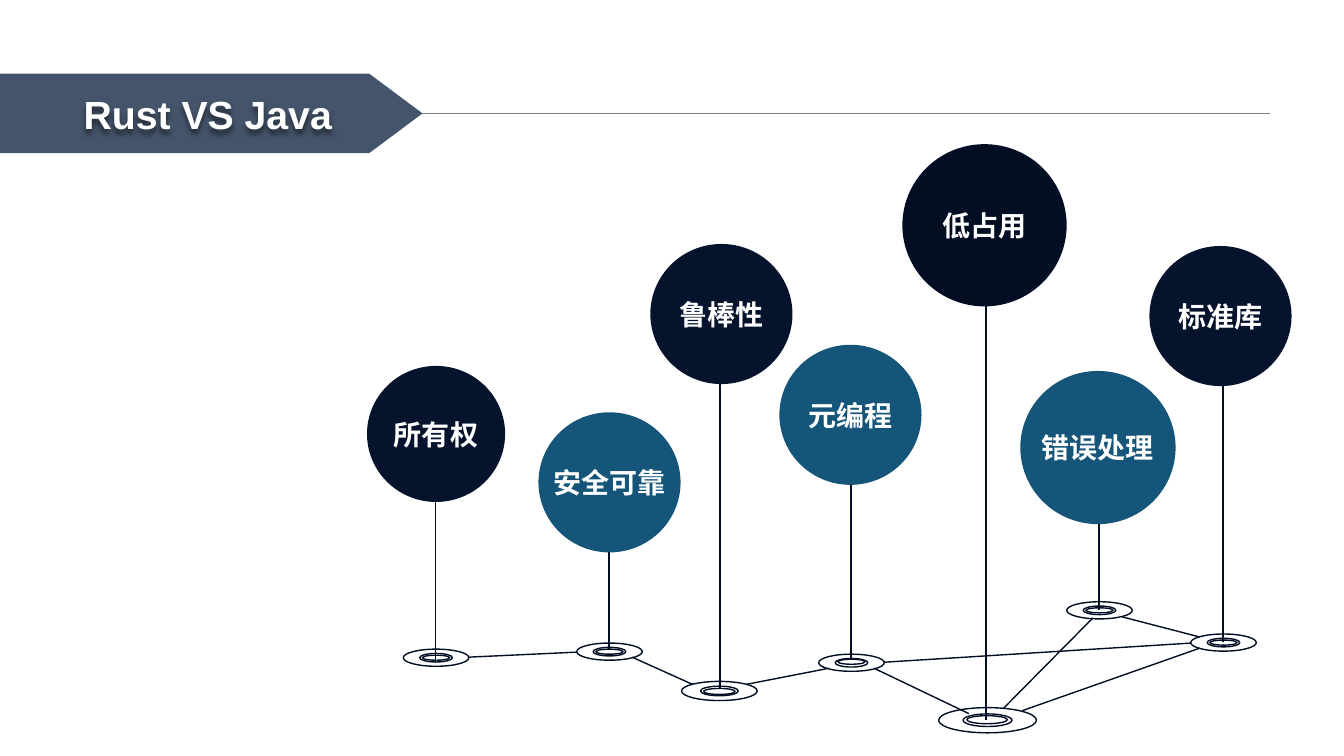
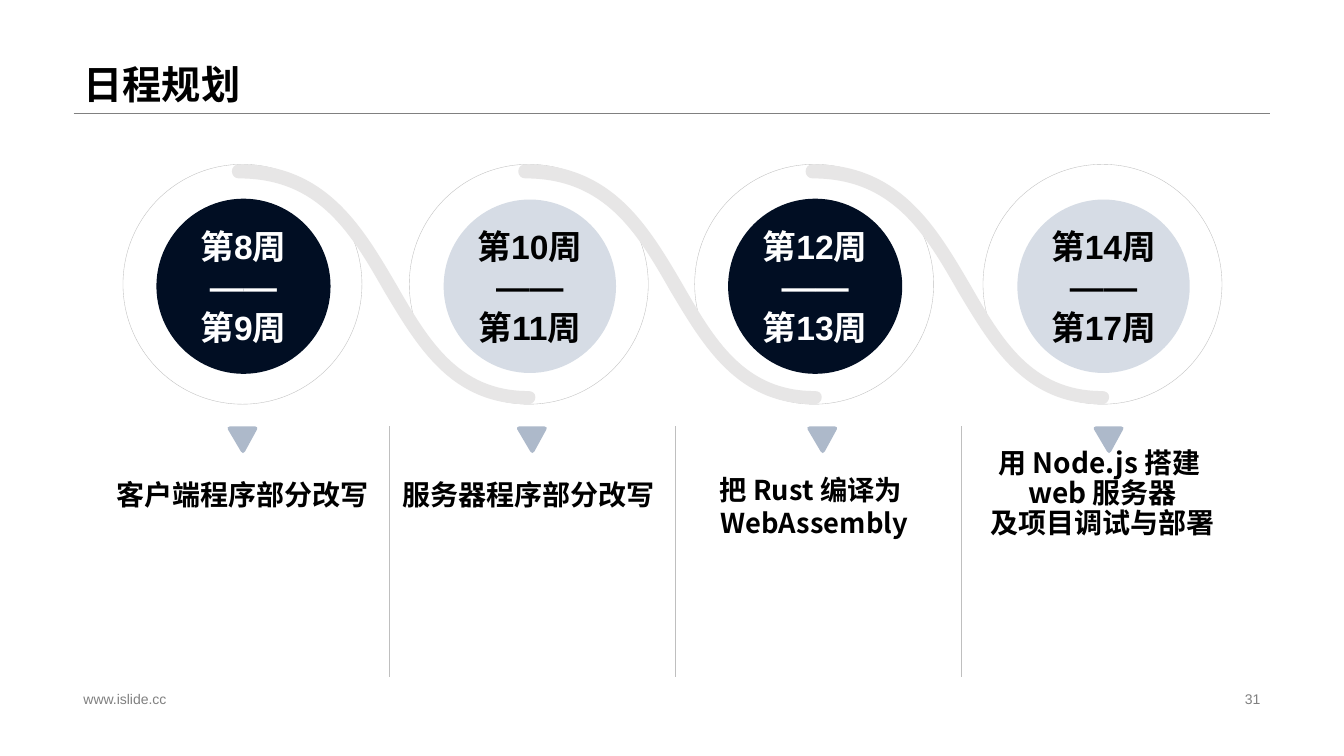
"""Build the Rust and Java comparison slide and the schedule slide."""
from dataclasses import dataclass
from typing import Any, NamedTuple, Optional, Sequence

from lxml.etree import SubElement
from pptx import Presentation
from pptx.dml.color import RGBColor
from pptx.enum.shapes import MSO_CONNECTOR, MSO_SHAPE
from pptx.enum.text import MSO_ANCHOR, MSO_AUTO_SIZE, PP_ALIGN
from pptx.oxml import parse_xml
from pptx.oxml.ns import nsdecls, qn
from pptx.util import Pt

PX = 9144
KAPPA = 0.55
Point = tuple[float, float]
Contour = tuple[tuple[Point, ...], ...]


@dataclass(frozen=True)
class Theme:
    latin: str = "Arial"
    cjk: str = "Noto Sans CJK SC"
    white: str = "FFFFFF"
    black: str = "000000"
    gray: str = "808080"
    banner: str = "44546A"
    ink: str = "010E23"
    navy: str = "05132C"
    teal: str = "145579"
    pale: str = "D6DCE5"
    pointer: str = "ADB9CA"
    swoosh: str = "E7E6E6"
    hairline: str = "BFBFBF"
    title_size: float = 28
    week_size: float = 24
    label_size: float = 20
    footer_size: float = 10


T = Theme()


class Box(NamedTuple):
    x: int
    y: int
    w: int
    h: int


class Stem(NamedTuple):
    x: int
    top: int
    bottom: int


@dataclass(frozen=True)
class Pin:
    label: str
    color: str
    circle: Box
    stem: Stem
    ring: Box
    core: Box


@dataclass(frozen=True)
class Phase:
    x: int
    pointer_x: int
    start: str
    end: str
    tasks: tuple[str, ...]
    dark: bool
    height: int = 76
    size: float = 20
    spacing: float = 24


@dataclass(frozen=True)
class TextStyle:
    size: float
    color: str
    align: Any = PP_ALIGN.CENTER
    anchor: Any = MSO_ANCHOR.MIDDLE
    bold: bool = True
    wrap: bool = False
    font: str = T.latin
    spacing: Any = None


PINS = (
    Pin("安全可靠", T.teal, Box(534, 409, 141, 139), Stem(604, 471, 644),
        Box(572, 638, 65, 17), Box(591, 644, 27, 5)),
    Pin("所有权", T.navy, Box(364, 363, 137, 135), Stem(432, 485, 658),
        Box(400, 644, 65, 17), Box(419, 650, 27, 5)),
    Pin("元编程", T.teal, Box(773, 342, 141, 139), Stem(844, 396, 653),
        Box(812, 649, 65, 17), Box(831, 654, 27, 5)),
    Pin("标准库", T.navy, Box(1140, 244, 141, 139), Stem(1213, 359, 637),
        Box(1181, 629, 65, 17), Box(1200, 635, 27, 5)),
    Pin("低占用", T.ink, Box(895, 143, 163, 161), Stem(978, 290, 714),
        Box(931, 702, 97, 25), Box(959, 710, 40, 8)),
    Pin("鲁棒性", T.navy, Box(645, 242, 141, 139), Stem(714, 264, 683),
        Box(676, 676, 75, 19), Box(698, 683, 31, 6)),
    Pin("错误处理", T.teal, Box(1012, 368, 154, 152), Stem(1090, 463, 605),
        Box(1058, 597, 65, 17), Box(1077, 603, 27, 5)),
)
LINKS = (
    (464, 652, 572, 647),
    (627, 652, 687, 679),
    (740, 679, 822, 663),
    (867, 663, 961, 708),
    (1014, 705, 1190, 643),
    (1190, 632, 1113, 612),
    (877, 657, 1181, 638),
    (995, 703, 1084, 613),
)
PHASES = (
    Phase(122, 225, "第8周", "第9周", ("客户端程序部分改写",), True, 48),
    Phase(406, 512, "第10周", "第11周", ("服务器程序部分改写",), False, 48),
    Phase(689, 800, "第12周", "第13周", ("把 Rust 编译为 ", "WebAssembly"),
          True, size=19.5, spacing=23.5),
    Phase(975, 1084, "第14周", "第17周",
          ("用 Node.js 搭建 ", "web 服务器", "及项目调试与部署"), False,
          spacing=21.5),
)
SWOOSH: Contour = (
    ((294, 238),),
    ((217, 238), (184, 181), (151, 126)),
    ((118, 68), (86, 14), (7, 14)),
    ((3, 14), (0, 11), (0, 7)),
    ((0, 3), (3, 0), (7, 0)),
    ((93, 0), (129, 61), (163, 119)),
    ((194, 173), (224, 225), (294, 225)),
    ((298, 225), (301, 227), (301, 231)),
    ((301, 235), (298, 238), (294, 238)),
)
POINTER: Contour = (
    ((3, 0),),
    ((28, 0),),
    ((30, 0), (31, 2), (30, 3)),
    ((18, 25),),
    ((17, 27), (15, 27), (14, 25)),
    ((1, 3),),
    ((0, 2), (1, 0), (3, 0)),
)


def emu(values: Sequence[float]) -> list[int]:
    """Convert px lengths to EMU."""
    return [round(v * PX) for v in values]


def apply(obj: Any, formats: dict[str, Any]) -> None:
    """Set each named attribute of an object."""
    for name, value in formats.items():
        setattr(obj, name, value)


def paint(sp: Any, fill: Optional[str], line: Optional[str] = None,
          width: float = 1) -> None:
    """Give a shape its fill and outline, without a shadow."""
    sp.shadow.inherit = False
    if fill:
        sp.fill.solid()
        sp.fill.fore_color.rgb = RGBColor.from_string(fill)
    else:
        sp.fill.background()
    if line:
        sp.line.color.rgb = RGBColor.from_string(line)
        sp.line.width = Pt(width)
    else:
        sp.line.fill.background()


def write(sp: Any, lines: Sequence[str], style: TextStyle) -> None:
    """Fill a shape with one styled paragraph per line."""
    tf = sp.text_frame
    apply(tf, {"auto_size": MSO_AUTO_SIZE.NONE, "word_wrap": style.wrap,
               "vertical_anchor": style.anchor})
    for i, text in enumerate(lines):
        p = tf.add_paragraph() if i else tf.paragraphs[0]
        apply(p, {"alignment": style.align, "space_before": Pt(0),
                  "line_spacing": style.spacing})
        r = p.add_run()
        r.text = text
        apply(r.font, {"size": Pt(style.size), "bold": style.bold,
                       "name": style.font})
        r.font.color.rgb = RGBColor.from_string(style.color)
        SubElement(r._r.get_or_add_rPr(), qn("a:ea")).set("typeface", T.cjk)


def cast_shadow(sp: Any) -> None:
    """Give an unfilled shape a soft shadow that its text casts."""
    sp._element.spPr.append(parse_xml(
        f'<a:effectLst {nsdecls("a")}><a:outerShdw blurRad="50800" '
        'dist="38100" dir="5400000" algn="t" rotWithShape="0">'
        '<a:srgbClr val="000000"><a:alpha val="50000"/></a:srgbClr>'
        '</a:outerShdw></a:effectLst>'))


def add_shape(s: Any, kind: Any, box: Sequence[float], fill: Optional[str],
              line: Optional[str] = None, width: float = 1) -> Any:
    """Add a painted preset shape."""
    sp = s.shapes.add_shape(kind, *emu(box))
    paint(sp, fill, line, width)
    return sp


def add_text(s: Any, box: Box, lines: Sequence[str], style: TextStyle) -> None:
    """Add a text box."""
    write(s.shapes.add_textbox(*emu(box)), lines, style)


def add_line(s: Any, ends: Sequence[float], color: str, width: float) -> None:
    """Add a straight line."""
    cn = s.shapes.add_connector(MSO_CONNECTOR.STRAIGHT, *emu(ends))
    cn.line.color.rgb = RGBColor.from_string(color)
    cn.line.width = Pt(width)
    SubElement(cn._element.spPr, qn("a:effectLst"))


def oval(box: Box, scale: float) -> Contour:
    """Return an ellipse centred in a box as four curves."""
    cx, cy = box.w / 2, box.h / 2
    rx, ry = cx * scale, cy * scale
    arcs = []
    for ux, uy in ((-1, 0), (0, -1), (1, 0), (0, 1)):
        vx, vy = -uy, ux
        arcs.append(tuple((cx + rx * x, cy + ry * y) for x, y in (
            (ux + KAPPA * vx, uy + KAPPA * vy),
            (vx + KAPPA * ux, vy + KAPPA * uy), (vx, vy))))
    return (((cx - rx, cy),), *arcs)


def add_outline(s: Any, x: int, y: int, contours: Sequence[Contour],
                fill: Optional[str], line: Optional[str] = None) -> None:
    """Add a freeform whose three-point segments are curves."""
    fb = None
    for (start,), *segments in contours:
        pen = emu((x + start[0], y + start[1]))
        fb = fb.move_to(*pen) if fb else s.shapes.build_freeform(*pen, scale=1.0)
        fb.add_line_segments([emu((x + px, y + py)) for segment in segments
                              for px, py in segment], close=True)
    sp = fb.convert_to_shape()
    paint(sp, fill, line)
    nodes = iter(list(sp._element.iter(qn("a:lnTo"))))
    for segment in (g for contour in contours for g in contour[1:]):
        group = [next(nodes) for _ in segment]
        if len(group) == 3:
            group[0].tag, curve = group[0].tag, group[0].makeelement(
                qn("a:cubicBezTo"))
            group[0].addprevious(curve)
            for node in group:
                curve.append(node[0])
                node.getparent().remove(node)


def new_slide(prs: Any, title: str, box: Box, color: str) -> Any:
    """Add a slide with the shared rule and title style."""
    s = prs.slides.add_slide(prs.slide_layouts[5])
    add_line(s, (73, 112, 1260, 112), T.gray, 0.25)
    sp = s.shapes.title
    apply(sp, dict(zip(("left", "top", "width", "height"), emu(box))))
    write(sp, [title], TextStyle(T.title_size, color, PP_ALIGN.LEFT,
                                 MSO_ANCHOR.BOTTOM, wrap=True, spacing=0.9))
    return s


def comparison_slide(prs: Any) -> None:
    """Build the slide of pinned language features."""
    s = new_slide(prs, "Rust VS Java", Box(73, 72, 318, 70), T.white)
    banner = add_shape(s, MSO_SHAPE.PENTAGON, (0, 73, 419, 79), T.banner)
    banner.adjustments[0] = 0.67
    for pin in PINS:
        add_outline(s, pin.ring.x, pin.ring.y,
                    (oval(pin.ring, 1), oval(pin.ring, 0.5)), None, T.ink)
        add_shape(s, MSO_SHAPE.OVAL, pin.core, None, T.ink)
    for link in LINKS:
        add_line(s, link, T.ink, 1)
    for pin in PINS:
        x, top, bottom = pin.stem
        add_line(s, (x, bottom, x, top), T.ink, 1)
        sp = add_shape(s, MSO_SHAPE.OVAL, pin.circle, pin.color)
        write(sp, [pin.label], TextStyle(T.label_size, T.white))
    title = s.shapes.title
    cast_shadow(title)
    title.element.getparent().append(title.element)


def schedule_slide(prs: Any) -> None:
    """Build the slide of four project phases."""
    s = new_slide(prs, "日程规划", Box(73, 0, 1187, 112), T.black)
    for box, text, align in (
            (Box(73, 682, 453, 23), "www.islide.cc", PP_ALIGN.LEFT),
            (Box(942, 682, 318, 23), "31", PP_ALIGN.RIGHT)):
        add_text(s, box, [text], TextStyle(T.footer_size, T.gray, align,
                                           bold=False, wrap=True))
    for phase in PHASES:
        x = phase.x
        add_outline(s, phase.pointer_x, 423, (POINTER,), T.pointer)
        add_shape(s, MSO_SHAPE.OVAL, (x, 163, 237, 238), None, T.hairline, 0.25)
        fill, line, color = ((T.ink, T.ink, T.white) if phase.dark
                             else (T.pale, None, T.black))
        sp = add_shape(s, MSO_SHAPE.OVAL, (x + 34, 198, 171, 172), fill,
                       line, 1.25)
        write(sp, [phase.start, "——", phase.end],
              TextStyle(T.week_size, color, spacing=Pt(29)))
        add_text(s, Box(x - 11, 464, 259, phase.height), phase.tasks,
                 TextStyle(phase.size, T.black, anchor=MSO_ANCHOR.BOTTOM,
                           font=T.cjk, spacing=Pt(phase.spacing)))
    for i, phase in enumerate(PHASES[:-1]):
        add_outline(s, 230 + i * 569 // 2, 163, (SWOOSH,), T.swoosh)
        x = phase.x + 264
        add_line(s, (x, 423, x, 672), T.hairline, 0.25)


def main() -> None:
    """Build and save the presentation."""
    prs = Presentation()
    prs.slide_width, prs.slide_height = emu((1333, 750))
    comparison_slide(prs)
    schedule_slide(prs)
    prs.save("out.pptx")


if __name__ == "__main__":
    main()
